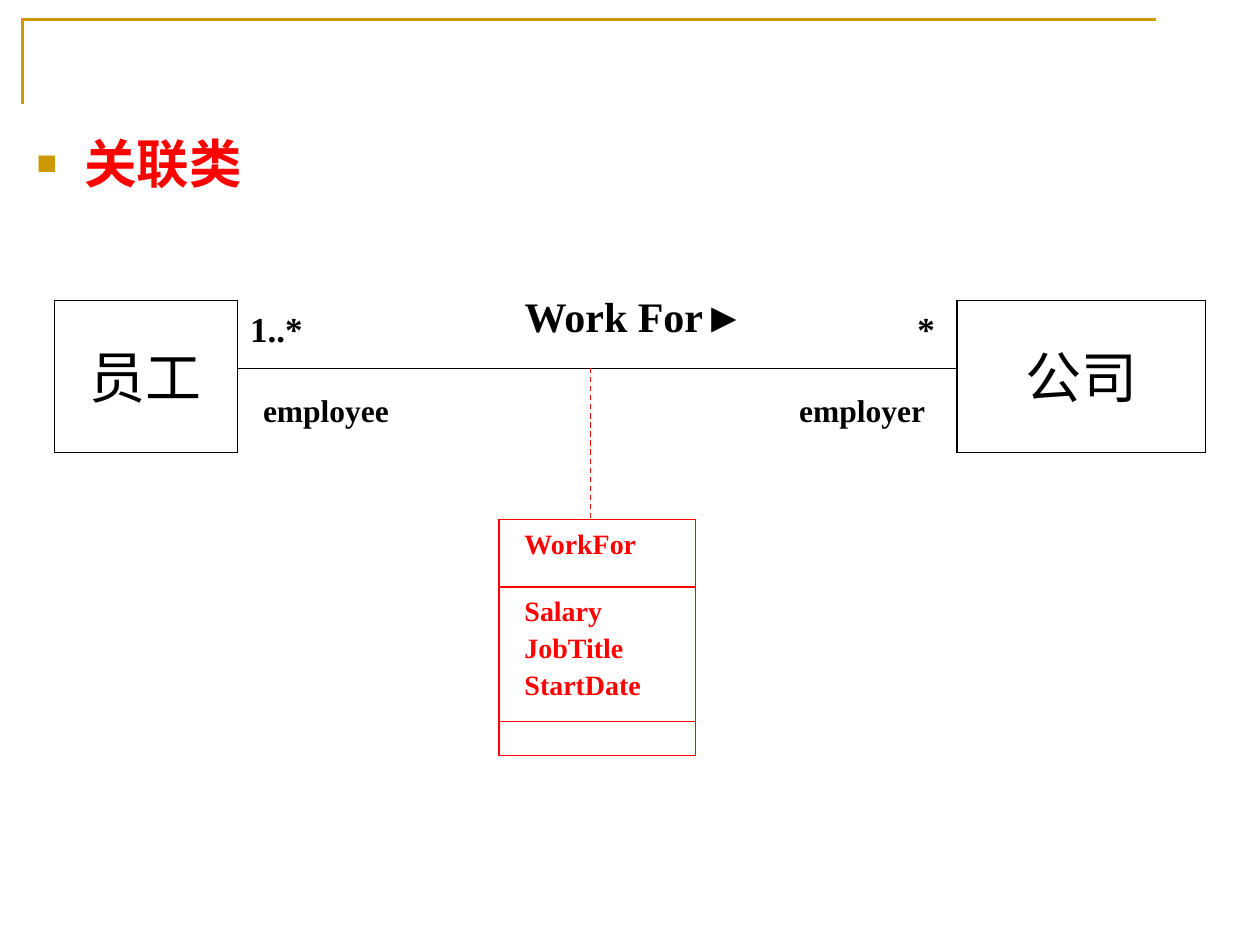
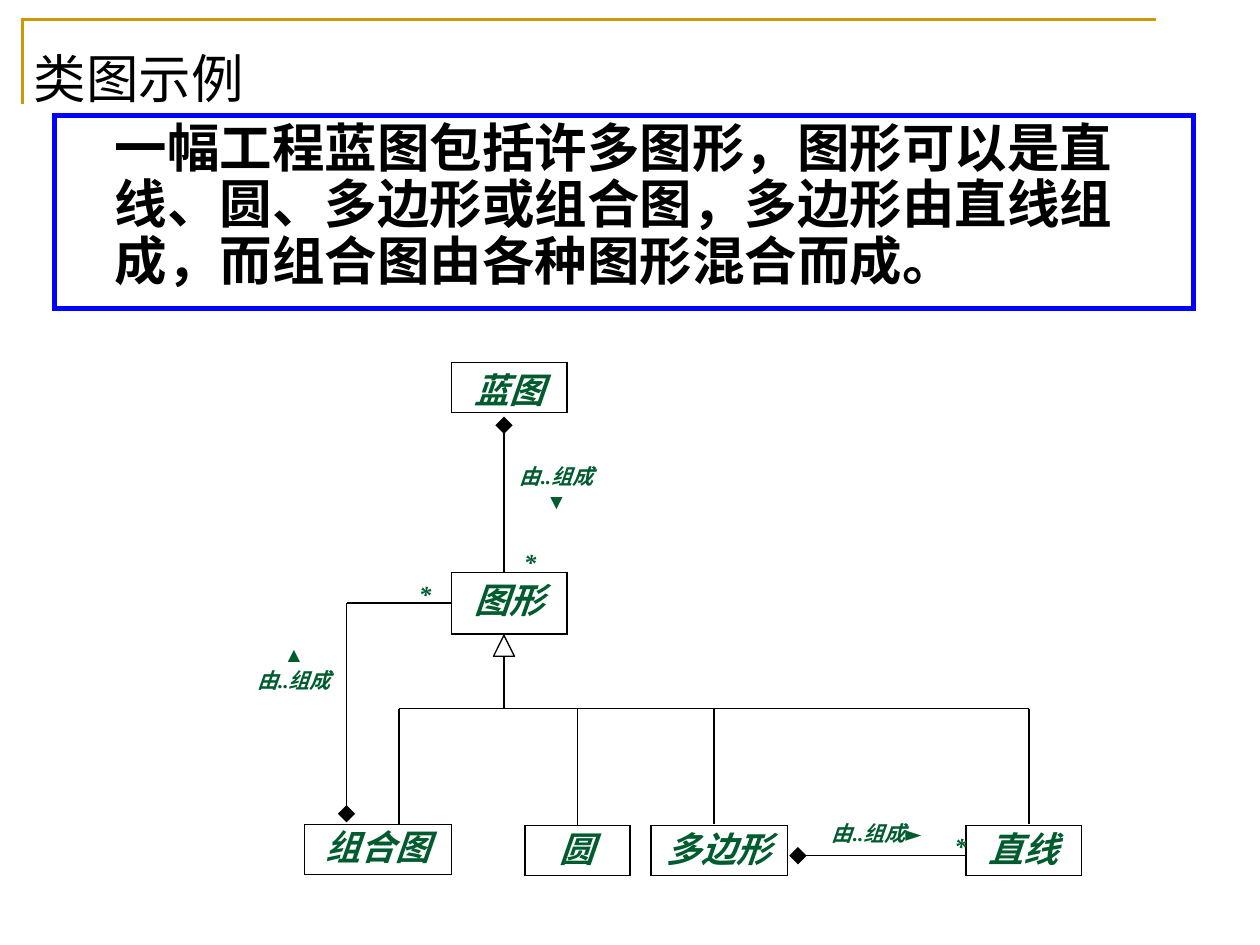
from lxml.etree import SubElement
from pptx import Presentation
from pptx.dml.color import RGBColor
from pptx.enum.dml import MSO_LINE
from pptx.enum.shapes import MSO_CONNECTOR, MSO_SHAPE
from pptx.enum.text import MSO_ANCHOR, MSO_AUTO_SIZE, PP_ALIGN
from pptx.oxml.ns import qn
from pptx.util import Inches, Pt

HUES = {"gold": "CC9900", "red": "FF0000", "blue": "0000FF",
        "green": "005C2E", "black": "000000"}
HUES = {name: RGBColor.from_string(code) for name, code in HUES.items()}
SERIF, SANS = "Times New Roman", "Arial"
LEFT, MID = PP_ALIGN.LEFT, PP_ALIGN.CENTER

deck = Presentation()
deck.slide_width, deck.slide_height = Inches(10), Inches(7.5)
CELL = deck.slide_width / 120  # the slide is a grid of 120 columns by 90 rows


def box(slide, text, x, y, w, h, size=20, hue="black", edge=None, width=0.75,
        font=SERIF, bold=True, slant=False, align=LEFT, top=0.05, gap=0):
    """Text on the grid, in a rectangle when an edge colour is given."""
    spot = [round(v * CELL) for v in (x, y, w, h)]
    if edge:
        shape = slide.shapes.add_shape(MSO_SHAPE.RECTANGLE, *spot)
        shape.shadow.inherit = False
        shape.fill.background()
        shape.line.color.rgb = HUES[edge]
        shape.line.width = Pt(width)
        SubElement(shape.line._get_or_add_ln(), qn("a:miter"), lim="800000")
    else:
        shape = slide.shapes.add_textbox(*spot)
    frame = shape.text_frame
    frame.word_wrap = True
    frame.vertical_anchor = MSO_ANCHOR.TOP
    frame.margin_top, frame.margin_bottom = Inches(top), 0
    frame.text = text
    for para in frame.paragraphs:
        para.alignment = align
        para.space_before = Pt(gap)
        for run in para.runs:
            run.font.name, run.font.size = font, Pt(size)
            run.font.bold, run.font.italic = bold, slant
            run.font.color.rgb = HUES[hue]
    return shape


def link(slide, x1, y1, x2, y2, hue="black", width=0.75, gem=False):
    """Straight line on the grid, with a diamond at its start on request."""
    ends = [round(v * CELL) for v in (x1, y1, x2, y2)]
    line = slide.shapes.add_connector(MSO_CONNECTOR.STRAIGHT, *ends)
    line.line.color.rgb = HUES[hue]
    line.line.width = Pt(width)
    if gem:
        SubElement(line.line._get_or_add_ln(), qn("a:headEnd"),
                   type="diamond", w="lg", len="lg")
    SubElement(line._element.spPr, qn("a:effectLst"))
    return line


# Both slides carry the gold corner, drawn in hundredths of a cell
work = deck.slides.add_slide(deck.slide_layouts[6])
chart = deck.slides.add_slide(deck.slide_layouts[5])
for slide in (work, chart):
    path = slide.shapes.build_freeform(214, 986, scale=CELL / 100)
    path.add_line_segments([(214, 187), (11014, 187)], close=False)
    corner = path.convert_to_shape()
    corner.shadow.inherit = False
    corner.fill.background()
    corner.line.color.rgb = HUES["gold"]
    corner.line.width = Pt(1.75)
    SubElement(corner.line._get_or_add_ln(), qn("a:miter"), lim="800000")

# Slide 1: bullet heading
head = box(work, "关联类", 2.3, 11.9, 114.4, 75.6, 30, "red", font=SANS)
props = head.text_frame.paragraphs[0]._p.get_or_add_pPr()
props.set("marL", str(Inches(0.38)))
props.set("indent", str(-Inches(0.38)))
SubElement(SubElement(props, qn("a:buClr")), qn("a:srgbClr"), val=str(HUES["gold"]))
SubElement(props, qn("a:buSzPct"), val="65000")
SubElement(props, qn("a:buFont"), typeface=SANS)
SubElement(props, qn("a:buChar"), char="■")

# The two classes and their association
for name, x, w in (("员工", 5.2, 17.4), ("公司", 91.15, 23.65)):
    node = box(work, name, x, 28.63, w, 14.45, 32, edge="black", bold=False, align=MID)
    node.text_frame.vertical_anchor = MSO_ANCHOR.MIDDLE
    node.text_frame.margin_bottom = Inches(0.05)
link(work, 22.6, 35.07, 91.15, 35.07)
for text, x, y, w, size in (
        ("Work For►", 48.8, 27.05, 25, 24),
        ("*", 86.2, 28.7, 7.4, 20),
        ("1..*", 22.65, 28.7, 12.5, 20),
        ("employee", 23.87, 36.7, 15, 18),
        ("employer", 74.93, 36.7, 15, 18)):
    box(work, text, x, y, w, 5, size)

# The association class hangs from the line
link(work, 56.25, 35.07, 56.25, 49.5, "red").line.dash_style = MSO_LINE.DASH
box(work, "", 47.54, 49.5, 18.7, 22.45, edge="red")
for y in (55.9, 68.73):
    link(work, 47.54, y, 66.24, y, "red")
box(work, "WorkFor", 48.77, 49.6, 16.2, 4.4, 16, "red")
box(work, "Salary\nJobTitle\nStartDate", 48.77, 55.9, 16.2, 11.5, 16, "red", gap=2)

# Slide 2: title and statement
title = chart.shapes.title
title.left, title.top, title.width, title.height = (
    round(v * CELL) for v in (2, 2, 116, 9))
frame = title.text_frame
frame.text = "类图示例"
frame.auto_size = MSO_AUTO_SIZE.NONE
frame.vertical_anchor = MSO_ANCHOR.BOTTOM
para = frame.paragraphs[0]
para.alignment = LEFT
font = para.runs[0].font
font.name, font.size, font.color.rgb = SERIF, Pt(30), HUES["black"]

note = box(chart, "一幅工程蓝图包括许多图形，图形可以是直线、圆、多边形或组合图，"
           "多边形由直线组成，而组合图由各种图形混合而成。",
           5.2, 11, 108.5, 18.4, 30, edge="blue", width=3, font=SANS)
note.text_frame.margin_right = Inches(0.3)
para = note.text_frame.paragraphs[0]
para.line_spacing = 0.9
para._p.get_or_add_pPr().set("marL", str(Inches(0.38)))

# Classes
LEAF, BUS = 78.6, 67.5
nodes = {}
for name, x, y, w, h, top in (
        ("蓝图", 43, 34.5, 11, 4.8, 0.05),
        ("图形", 43, 54.5, 11, 5.88, 0.05),
        ("组合图", 29, 78.5, 14, 4.8, 0.01),
        ("多边形", 62, LEAF, 13, 4.8, 0.02),
        ("直线", 92, LEAF, 11, 4.8, 0.02),
        ("圆", 50, LEAF, 10, 4.8, 0.02)):
    nodes[name] = box(chart, name, x, y, w, h, 20, "green", "black",
                      slant=True, align=MID, top=top)

# Inheritance tree
tip = chart.shapes.add_shape(MSO_SHAPE.ISOSCELES_TRIANGLE, *(
    round(v * CELL) for v in (47, 60.5, 2, 2)))
tip.shadow.inherit = False
tip.fill.background()
tip.line.color.rgb = HUES["black"]
tip.line.width = Pt(0.75)
link(chart, 38, BUS, 98, BUS)
link(chart, 48, 62.5, 48, BUS)
drops = {x: link(chart, x, BUS, x, 78.5) for x in (38, 55, 68, 98)}
drops[55].end_connect(nodes["圆"], 0)

# Compositions
link(chart, 48, 40.5, 48, 54.5, width=1, gem=True)
link(chart, 33, 77.5, 33, 57.44, gem=True)
link(chart, 33, 57.44, 43, 57.44).end_connect(nodes["图形"], 1)
link(chart, 76, 81.5, 92, 81.5, gem=True)
for text, x, y, w, h in (("由..组成\n▼", 48, 43.55, 10, 8.4),
                         ("▲\n由..组成", 23, 60.55, 10, 8.4),
                         ("由..组成►", 77, 77.55, 13, 3.6)):
    box(chart, text, x, y, w, h, 12, "green", slant=True, align=MID)
for x, y in ((48, 51.5), (38, 54.55), (89, 78.55)):
    box(chart, "*", x, y, 5, 4, 14, "green", slant=True, align=MID)

deck.save("out.pptx")
